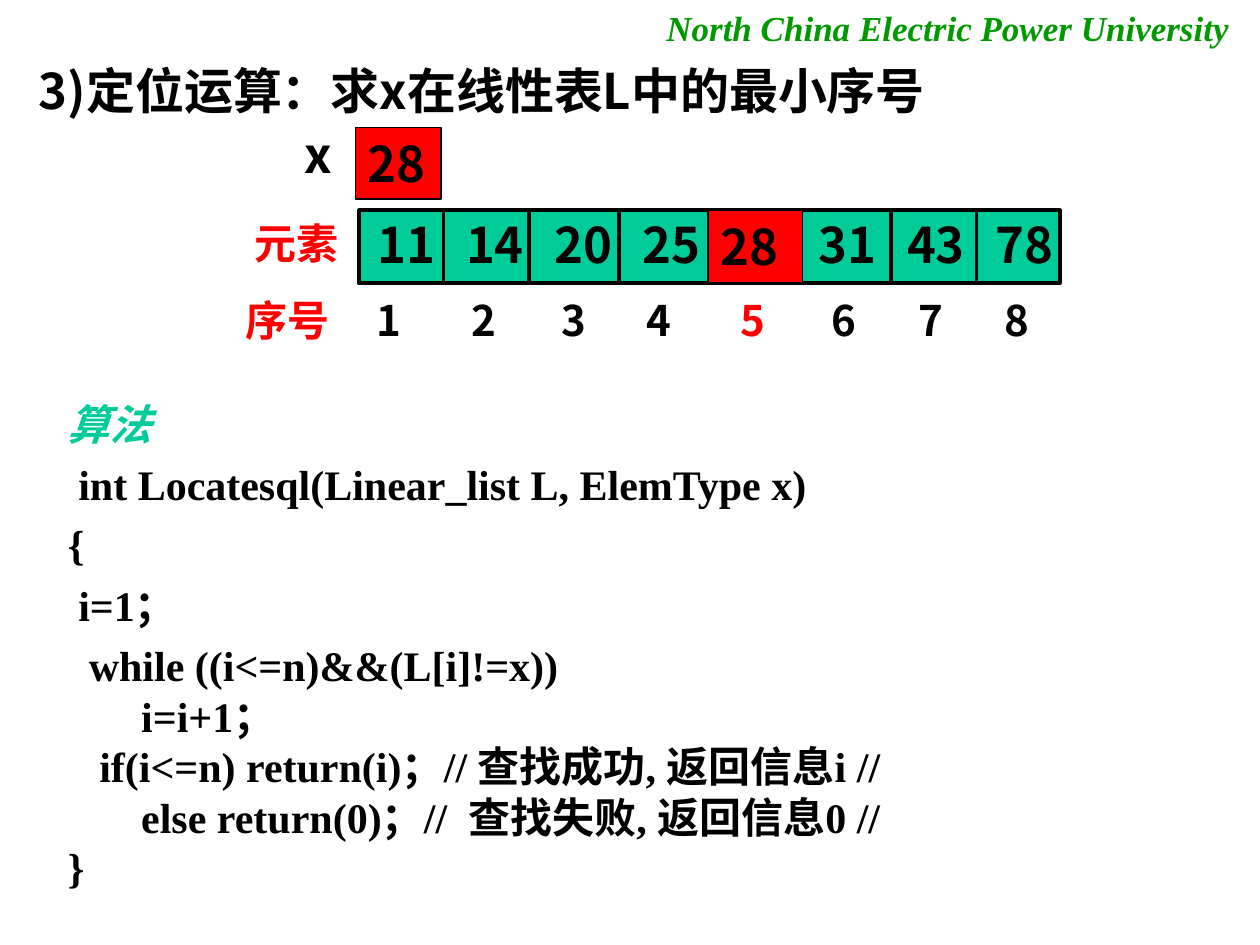
from lxml.etree import SubElement
from pptx import Presentation
from pptx.dml.color import RGBColor
from pptx.enum.shapes import MSO_CONNECTOR, MSO_SHAPE
from pptx.enum.text import MSO_ANCHOR, MSO_AUTO_SIZE, PP_ALIGN
from pptx.oxml.ns import qn
from pptx.util import Emu, Pt

PX = 9144
BLACK = RGBColor(0, 0, 0)
RED = RGBColor(255, 0, 0)
TEAL = RGBColor(0, 204, 153)
GREEN = RGBColor(0, 153, 0)
SANS = "Noto Sans CJK SC"
SERIF = "Times New Roman"
VALUES = [11, 14, 20, 25, 28, 31, 43, 78]
EDGES = [0, 67, 135, 206, 278, 351, 422, 490]
MARKS = [4, 79, 151, 218, 293, 365, 434, 502]
HIT = VALUES.index(28)
CODE = """算法
 int Locatesql(Linear_list L, ElemType x)
{
 i=1；
  while ((i<=n)&&(L[i]!=x))
       i=i+1；
   if(i<=n) return(i)；// 查找成功, 返回信息i //
       else return(0)；//  查找失败, 返回信息0 //
}"""
SPACED = 5


def px(*nums):
    """Turn px lengths into EMU."""
    return [Emu(n * PX) for n in nums]


def style(run, size, color=BLACK, face=SANS, slant=False):
    """Set the look of one run."""
    font = run.font
    font.size = Pt(size)
    font.bold = True
    font.italic = slant
    font.color.rgb = color
    font.name = face
    SubElement(run._r.get_or_add_rPr(), qn("a:ea")).set("typeface", SANS)


def fill(shape, text, size, wrap=True, **look):
    """Write styled text into a shape that fits its text."""
    frame = shape.text_frame
    frame.text = text
    frame.word_wrap = wrap
    frame.auto_size = MSO_AUTO_SIZE.SHAPE_TO_FIT_TEXT
    frame.vertical_anchor = MSO_ANCHOR.TOP
    for para in frame.paragraphs:
        para.alignment = PP_ALIGN.LEFT
        for run in para.runs:
            style(run, size, **look)
    return frame


def label(slide, box, text, size, **look):
    """Add a text box."""
    return fill(slide.shapes.add_textbox(*px(*box)), text, size, **look)


def block(slide, box, color, width):
    """Add a filled rectangle with a black outline."""
    shape = slide.shapes.add_shape(MSO_SHAPE.RECTANGLE, *px(*box))
    shape.shadow.inherit = False
    shape.fill.solid()
    shape.fill.fore_color.rgb = color
    shape.line.color.rgb = BLACK
    shape.line.width = Pt(width)
    return shape


def rule(slide, x, top, end):
    """Add an upright divider."""
    line = slide.shapes.add_connector(MSO_CONNECTOR.STRAIGHT, *px(x, top, x, end))
    line.line.color.rgb = BLACK
    line.line.width = Pt(2.25)
    SubElement(line._element.spPr, qn("a:effectLst"))


def head(slide, x, y, w, h):
    """Place the school name and the title."""
    label(slide, (x + 498, y, 467, 44), "North China Electric Power University",
          20, wrap=False, color=GREEN, face=SERIF, slant=True)
    label(slide, (x, y + 43, w, h - 43), "3)定位运算：求x在线性表L中的最小序号", 28)


def key(slide, x, y, w, h):
    """Place the searched value and its name."""
    fill(block(slide, (x, y, w, h), RED, 0.75), "28", 28)
    label(slide, (x - 50, y - 7, 42, h), "x", 28, wrap=False)


def row(slide, x, y, w, h):
    """Place the list cells, their values and their indices."""
    label(slide, (x - 93, y + 1, 95, 50), "元素", 24, color=RED, face=SERIF)
    label(slide, (x - 100, y + 62, 100, 50), "序号", 24, color=RED, face=SERIF)
    block(slide, (x, y, w, h), TEAL, 2.25)
    for edge in EDGES[1:]:
        rule(slide, x + edge, y, y + h)
    for i, (value, edge, mark) in enumerate(zip(VALUES, EDGES, MARKS)):
        if i == HIT:
            hit = block(slide, (x + edge - 1, y, 75, h - 1), RED, 0.75)
            fill(hit, str(value), 28)
        else:
            label(slide, (x + 5 + 70 * i, y - 2, 68, 57), str(value), 28)
        label(slide, (x + mark, y + 62, 39, 50), str(i + 1), 24, wrap=False,
              color=RED if i == HIT else BLACK)


def code(slide, x, y, w, h):
    """Place the algorithm listing."""
    frame = label(slide, (x, y, w, h), CODE, 24, face=SERIF)
    for para in frame.paragraphs[:SPACED]:
        para.line_spacing = 1.2
    font = frame.paragraphs[0].runs[0].font
    font.name = SANS
    font.italic = True
    font.color.rgb = TEAL


def main():
    """Build and save the slide."""
    deck = Presentation()
    deck.slide_width, deck.slide_height = px(1000, 750)
    slide = deck.slides.add_slide(deck.slide_layouts[6])
    head(slide, 21, 0, 751, 147)
    row(slide, 285, 167, 556, 58)
    key(slide, 282, 101, 68, 57)
    code(slide, 44, 303, 897, 410)
    deck.save("out.pptx")


if __name__ == "__main__":
    main()
